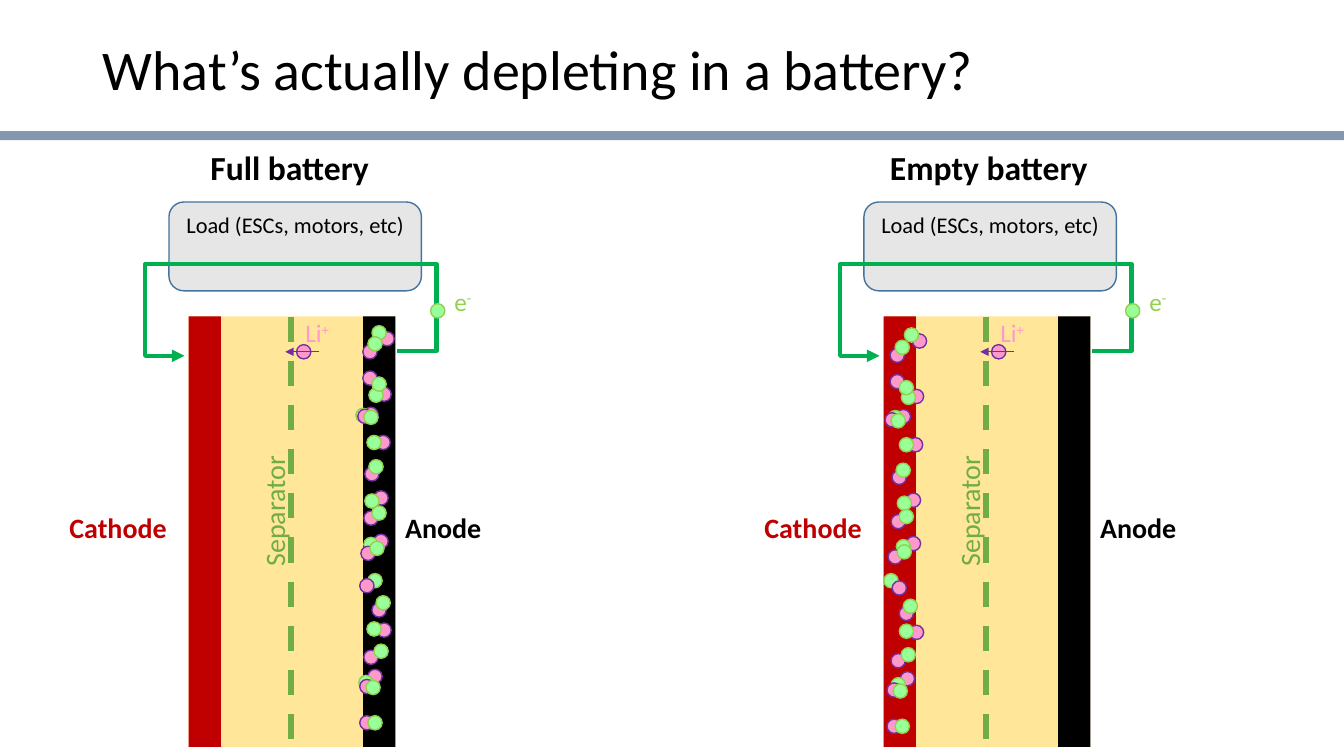
"""Build a slide that compares where the particles sit in a full and an empty battery."""
from dataclasses import dataclass
from typing import Any

from lxml.etree import SubElement
from pptx import Presentation
from pptx.dml.color import RGBColor
from pptx.enum.dml import MSO_LINE
from pptx.enum.shapes import MSO_CONNECTOR, MSO_SHAPE
from pptx.enum.text import MSO_ANCHOR, MSO_AUTO_SIZE, PP_ALIGN
from pptx.oxml.ns import qn
from pptx.util import Pt

Point = tuple[float, float]
Box = tuple[float, float, float, float]

FONT = "Calibri"
BLACK, CATHODE_RED, SEPARATOR_GREEN, CIRCUIT_GREEN = "000000", "C00000", "70AD47", "00B050"
ION_FILL, ION_LINE, ELECTRON_FILL, ELECTRON_LINE = "FF99CC", "7030A0", "99FF99", "92D050"
DIAMETER, CELL_TOP, CELL_HEIGHT = 10.2, 226.1, 307.4


@dataclass(frozen=True)
class Label:
    text: str
    box: Box
    size: float
    color: str
    bold: bool = False
    wrap: bool = True
    rotation: float = 0
    superscript: str = ""
    outline: str = ""


@dataclass(frozen=True)
class Cloud:
    ions: list[Point]
    electrons: list[Point]
    empty_shift: Point


@dataclass(frozen=True)
class Panel:
    heading: Label
    offset: float
    discharged: bool
    stray_electron: Point


LABELS = [
    Label("Li", (211, 223.2, 32.4, 29), 18, ION_FILL, superscript="+", outline=ION_LINE),
    Label("Separator", (147.6, 347.9, 96.5, 31.5), 20, SEPARATOR_GREEN, wrap=False, rotation=270),
    Label("Cathode", (42.5, 361.4, 98.6, 31.5), 20, CATHODE_RED, bold=True),
    Label("Anode", (282.3, 361.4, 83.5, 31.5), 20, BLACK, bold=True),
    Label("e", (317.5, 200.9, 32.4, 29), 18, ELECTRON_LINE, superscript="-", outline=CIRCUIT_GREEN),
]
LAYERS = [(134.8, 147.6, "FFE699"), (134.8, 23, CATHODE_RED), (259.4, 23, BLACK)]
CIRCUIT = [(283.7, 250.6), (311.8, 250.6), (311.8, 188.6), (103.7, 188.6), (103.7, 254.2), (131.8, 254.2)]
CLOUDS = [
    Cloud([(269.3, 276.5), (271.4, 236.9), (268.6, 311), (267.1, 350.6), (267.1, 381.6),
           (257, 413.3), (269.3, 445), (262.8, 478.1), (259.9, 290.9)],
          [(265.7, 232.6), (263.5, 277.2), (254.2, 291.6), (262.1, 311), (260.6, 352.8),
           (259.9, 383.8), (262.1, 444.2), (256.3, 482.4)], (-116.1, 1.6)),
    Cloud([(259.2, 246.2), (259.2, 265), (260.6, 333.4), (259.9, 365), (257.8, 390.2),
           (265.7, 430.6), (259.9, 464.4), (255.6, 292.3), (257, 485.3), (257, 511.2)],
          [(262.8, 511.2), (261.4, 486), (267.1, 460.1), (268.6, 425.5), (264.2, 386.6),
           (265.7, 361.4), (263.5, 328.3), (259.9, 293), (265.7, 269.3), (262.8, 240.5)], (-119.8, 2.5)),
]
PANELS = [
    Panel(Label("Full battery", (143.3, 101.5, 129.6, 36.3), 24, BLACK, True, False), 0, False, (262.8, 409.7)),
    Panel(Label("Empty battery", (132.2, 101.5, 157.7, 36.3), 24, BLACK, True, False), 496.4, True, (135, 409.7)),
]


def apply_format(target: Any, values: dict[str, Any]) -> None:
    """Set each named attribute on the target, with hex strings as colours."""
    for name, value in values.items():
        setattr(target, name, RGBColor.from_string(value) if name == "rgb" else value)


def format_font(font: Any, size: float, color: str, bold: bool = False) -> None:
    """Give a font its face, size, weight and colour."""
    apply_format(font, {"name": FONT, "size": Pt(size), "bold": bold})
    apply_format(font.color, {"rgb": color})


def format_line(shape: Any, color: str, width: float, arrow: bool = False) -> None:
    """Give a line its colour, width and arrowhead."""
    apply_format(shape.line.color, {"rgb": color})
    shape.line.width = Pt(width)
    if arrow:
        SubElement(shape.element.spPr.get_or_add_ln(), qn("a:tailEnd"), type="triangle")


def draw_shape(shapes: Any, kind: MSO_SHAPE, box: Box, offset: float, fill: str, line: str = "") -> Any:
    """Add a filled preset shape, with a thin line if a line colour is given."""
    left, top, width, height = box
    shape = shapes.add_shape(kind, Pt(left + offset), Pt(top), Pt(width), Pt(height))
    shape.shadow.inherit = False
    shape.fill.solid()
    apply_format(shape.fill.fore_color, {"rgb": fill})
    if line:
        format_line(shape, line, 1)
    else:
        shape.line.fill.background()
    return shape


def draw_particle(shapes: Any, point: Point, offset: float, electron: bool) -> None:
    """Add one electron or lithium ion."""
    fill, line = (ELECTRON_FILL, ELECTRON_LINE) if electron else (ION_FILL, ION_LINE)
    draw_shape(shapes, MSO_SHAPE.OVAL, (*point, DIAMETER, DIAMETER), offset, fill, line)


def draw_connector(shapes: Any, start: Point, end: Point, offset: float) -> Any:
    """Add a straight connector without a shadow."""
    connector = shapes.add_connector(
        MSO_CONNECTOR.STRAIGHT, Pt(start[0] + offset), Pt(start[1]), Pt(end[0] + offset), Pt(end[1]))
    connector.element.spPr.get_or_add_ln()
    SubElement(connector.element.spPr, qn("a:effectLst"))
    return connector


def draw_label(shapes: Any, label: Label, offset: float) -> None:
    """Add a text box with an optional superscript and text outline."""
    left, top, width, height = label.box
    shape = shapes.add_textbox(Pt(left + offset), Pt(top), Pt(width), Pt(height))
    shape.rotation = label.rotation
    apply_format(shape.text_frame, {"word_wrap": label.wrap, "auto_size": MSO_AUTO_SIZE.SHAPE_TO_FIT_TEXT})
    for text, baseline in ((label.text, "0"), (label.superscript, "30000")):
        if text:
            run = shape.text_frame.paragraphs[0].add_run()
            run.text = text
            properties = run._r.get_or_add_rPr()
            properties.set("baseline", baseline)
            if label.outline:
                outline = SubElement(properties, qn("a:ln"), w=str(int(Pt(0.75))))
                SubElement(SubElement(outline, qn("a:solidFill")), qn("a:srgbClr"), val=label.outline)
            format_font(run.font, label.size, label.color, label.bold)


def draw_circuit(shapes: Any, offset: float) -> None:
    """Add the load and the wire from the anode through it to the cathode."""
    load = draw_shape(shapes, MSO_SHAPE.ROUNDED_RECTANGLE, (120.7, 144.3, 180.3, 63.4), offset, "E7E6E6", "43739E")
    load.text_frame.vertical_anchor = MSO_ANCHOR.TOP
    paragraph = load.text_frame.paragraphs[0]
    apply_format(paragraph, {"text": "Load (ESCs, motors, etc)", "alignment": PP_ALIGN.CENTER})
    format_font(paragraph.font, 16, BLACK)
    points = [(Pt(x + offset), Pt(y)) for x, y in CIRCUIT]
    builder = shapes.build_freeform(*points[0], scale=1.0)
    builder.add_line_segments(points[1:], close=False)
    wire = builder.convert_to_shape()
    wire.shadow.inherit = False
    wire.fill.background()
    format_line(wire, CIRCUIT_GREEN, 3, arrow=True)


def draw_panel(shapes: Any, panel: Panel) -> None:
    """Add one battery with its circuit, labels and particles."""
    offset = panel.offset
    for left, width, fill in LAYERS:
        draw_shape(shapes, MSO_SHAPE.RECTANGLE, (left, CELL_TOP, width, CELL_HEIGHT), offset, fill)
    separator = draw_connector(shapes, (208.1, CELL_TOP), (208.1, CELL_TOP + CELL_HEIGHT), offset)
    format_line(separator, SEPARATOR_GREEN, 4.5)
    separator.line.dash_style = MSO_LINE.DASH
    draw_circuit(shapes, offset)
    for label in (panel.heading, *LABELS):
        draw_label(shapes, label, offset)
    draw_particle(shapes, (211.9, 246.2), offset, electron=False)
    format_line(draw_connector(shapes, (228.2, 251.3), (203.8, 251.3), offset), ION_LINE, 0.5, arrow=True)
    for point in ((307.6, 216.9), panel.stray_electron):
        draw_particle(shapes, point, offset, electron=True)
    for cloud in CLOUDS:
        shift_x, shift_y = cloud.empty_shift if panel.discharged else (0, 0)
        for points, electron in ((cloud.ions, False), (cloud.electrons, True)):
            for x, y in points:
                draw_particle(shapes, (x + shift_x, y + shift_y), offset, electron)


presentation = Presentation()
apply_format(presentation, {"slide_width": Pt(960), "slide_height": Pt(540)})
slide = presentation.slides.add_slide(presentation.slide_layouts[5])
title = slide.shapes.title
apply_format(title, {"left": Pt(66.2), "top": Pt(14.4), "width": Pt(828), "height": Pt(74.2)})
title.text_frame.vertical_anchor = MSO_ANCHOR.MIDDLE
heading = title.text_frame.paragraphs[0]
heading.text = "What’s actually depleting in a battery?"
apply_format(heading, {"alignment": PP_ALIGN.LEFT, "line_spacing": 0.9})
format_font(heading.font, 40, BLACK)
draw_shape(slide.shapes, MSO_SHAPE.RECTANGLE, (0, 93.6, 960, 6.5), 0, "8497B0")
for battery in PANELS:
    draw_panel(slide.shapes, battery)
presentation.save("out.pptx")
